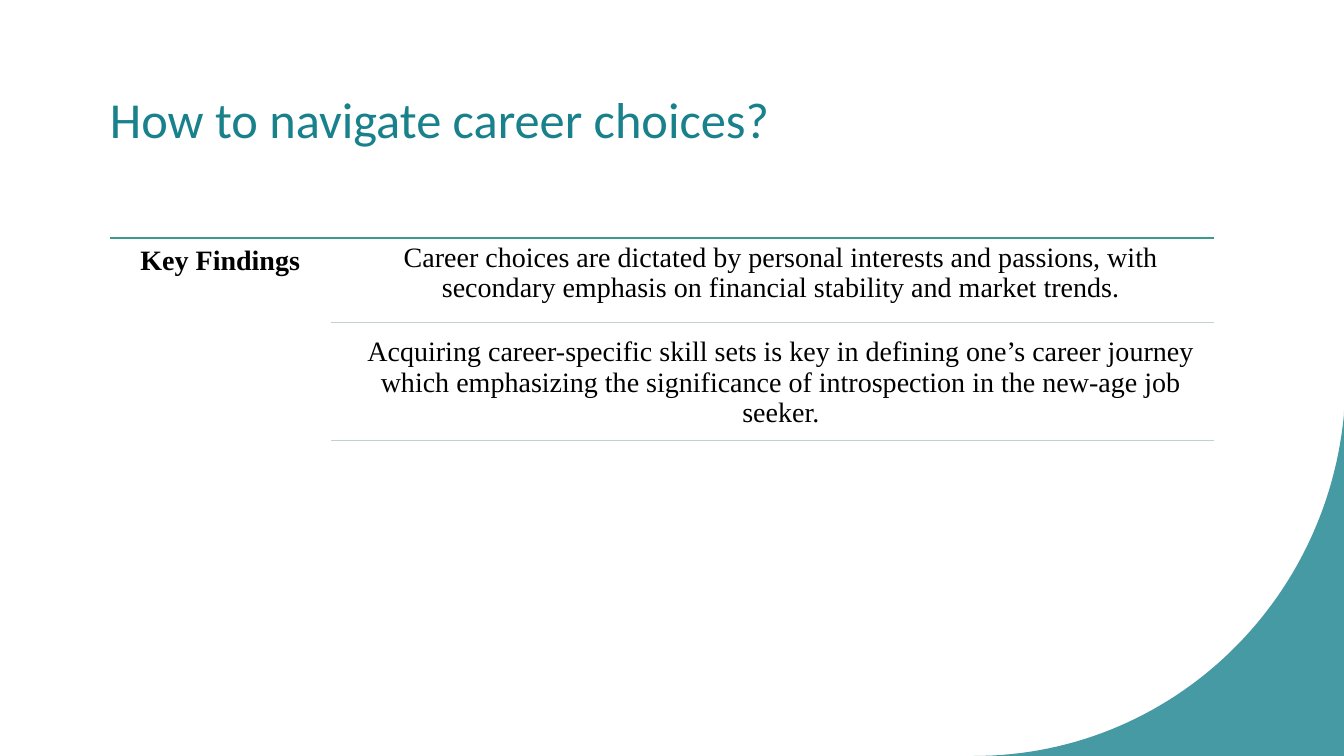
from lxml import etree
from pptx import Presentation
from pptx.dml.color import RGBColor
from pptx.enum.shapes import MSO_CONNECTOR as Connector
from pptx.enum.text import MSO_ANCHOR as Anchor, PP_ALIGN as Align
from pptx.oxml.ns import qn
from pptx.util import Inches, Pt

WIDTH, HEIGHT = 13.33, 7.5
TEAL, RULE_DARK, RULE_PALE = "18818C", "399A8D", "BED3CF"
SERIF = "Times New Roman"
FINDINGS = [
    "Career choices are dictated by personal interests and passions, with "
    "secondary emphasis on financial stability and market trends.",
    "Acquiring career-specific skill sets is key in defining one’s career journey "
    "which emphasizing the significance of introspection in the new-age job seeker.",
]


def color(value):
    return RGBColor.from_string(value)


def place(shape, left, top, width, height):
    shape.left, shape.top = Inches(left), Inches(top)
    shape.width, shape.height = Inches(width), Inches(height)


def write(shape, text, font=SERIF, size=20, fill="000000", bold=False,
          align=Align.CENTER, anchor=Anchor.MIDDLE, spacing=0.9, insets=(0.08, 0.08)):
    frame = shape.text_frame
    frame.word_wrap = True
    frame.vertical_anchor = anchor
    frame.margin_left = frame.margin_right = Inches(insets[0])
    frame.margin_top = frame.margin_bottom = Inches(insets[1])
    paragraph = frame.paragraphs[0]
    paragraph.alignment = align
    paragraph.line_spacing = spacing
    run = paragraph.add_run()
    run.text = text
    run.font.name, run.font.size, run.font.bold = font, Pt(size), bold
    run.font.color.rgb = color(fill)


def add_text(slide, box, text, **style):
    shape = slide.shapes.add_textbox(*map(Inches, box))
    write(shape, text, **style)


def add_rule(slide, left, right, y, line_color):
    rule = slide.shapes.add_connector(
        Connector.STRAIGHT, Inches(left), Inches(y), Inches(right), Inches(y))
    rule.line.color.rgb = color(line_color)
    rule.line.width = Pt(1)
    etree.SubElement(rule._element.spPr, qn("a:effectLst"))


def add_corner(slide, left, top, width, height, steps=60):
    """Fill the lower right corner outside a Bézier arc."""
    controls = [(0, 1), (0.52, 1), (0.95, 0.57), (1, 0.01)]

    def arc_point(t):
        weights = ((1 - t) ** 3, 3 * t * (1 - t) ** 2, 3 * t * t * (1 - t), t ** 3)
        x, y = (sum(w * c[axis] for w, c in zip(weights, controls)) for axis in (0, 1))
        return Inches(left + x * width), Inches(top + y * height)

    points = [arc_point(step / steps) for step in range(steps + 1)]
    points += [(Inches(left + width), Inches(top)),
               (Inches(left + width), Inches(top + height))]
    builder = slide.shapes.build_freeform(*points[0], scale=1.0)
    builder.add_line_segments(points[1:], close=True)
    corner = builder.convert_to_shape()
    corner.shadow.inherit = False
    corner.fill.solid()
    corner.fill.fore_color.rgb = color(TEAL)
    corner.line.fill.background()
    fill = corner._element.spPr.find(qn("a:solidFill"))
    etree.SubElement(fill[0], qn("a:alpha"), val="80000")


def add_title(slide, box, text):
    title = slide.shapes.title
    place(title, *box)
    write(title, text, font="Calibri", size=36, fill=TEAL, align=Align.LEFT,
          insets=(0.1, 0.05))


def add_findings(slide, left, top, width, height, heading, findings):
    """Set the heading in the first fifth and the ruled findings beside it."""
    right, heading_width = left + width, width / 5
    column, indent = left + heading_width, 0.17
    add_rule(slide, left, right, top, RULE_DARK)
    add_text(slide, (left, top, heading_width, height), heading,
             bold=True, anchor=Anchor.TOP)
    rows = [(0.03, 0.84), (1.12, 2.01)]  # text top and rule, below the region's top
    for finding, (text_top, rule) in zip(findings, rows):
        add_text(slide, (column + indent, top + text_top,
                         right - column - indent, 0.64), finding)
        add_rule(slide, column, right, top + rule, RULE_PALE)


def main():
    presentation = Presentation()
    presentation.slide_width, presentation.slide_height = Inches(WIDTH), Inches(HEIGHT)
    slide = presentation.slides.add_slide(presentation.slide_layouts[5])
    add_corner(slide, WIDTH - 3.67, HEIGHT - 3.42, 3.67, 3.42)
    add_title(slide, (0.99, 0.49, 10.84, 1.45), "How to navigate career choices?")
    add_findings(slide, 1.09, 2.36, 10.95, 2.05, "Key Findings", FINDINGS)
    presentation.save("out.pptx")


if __name__ == "__main__":
    main()
